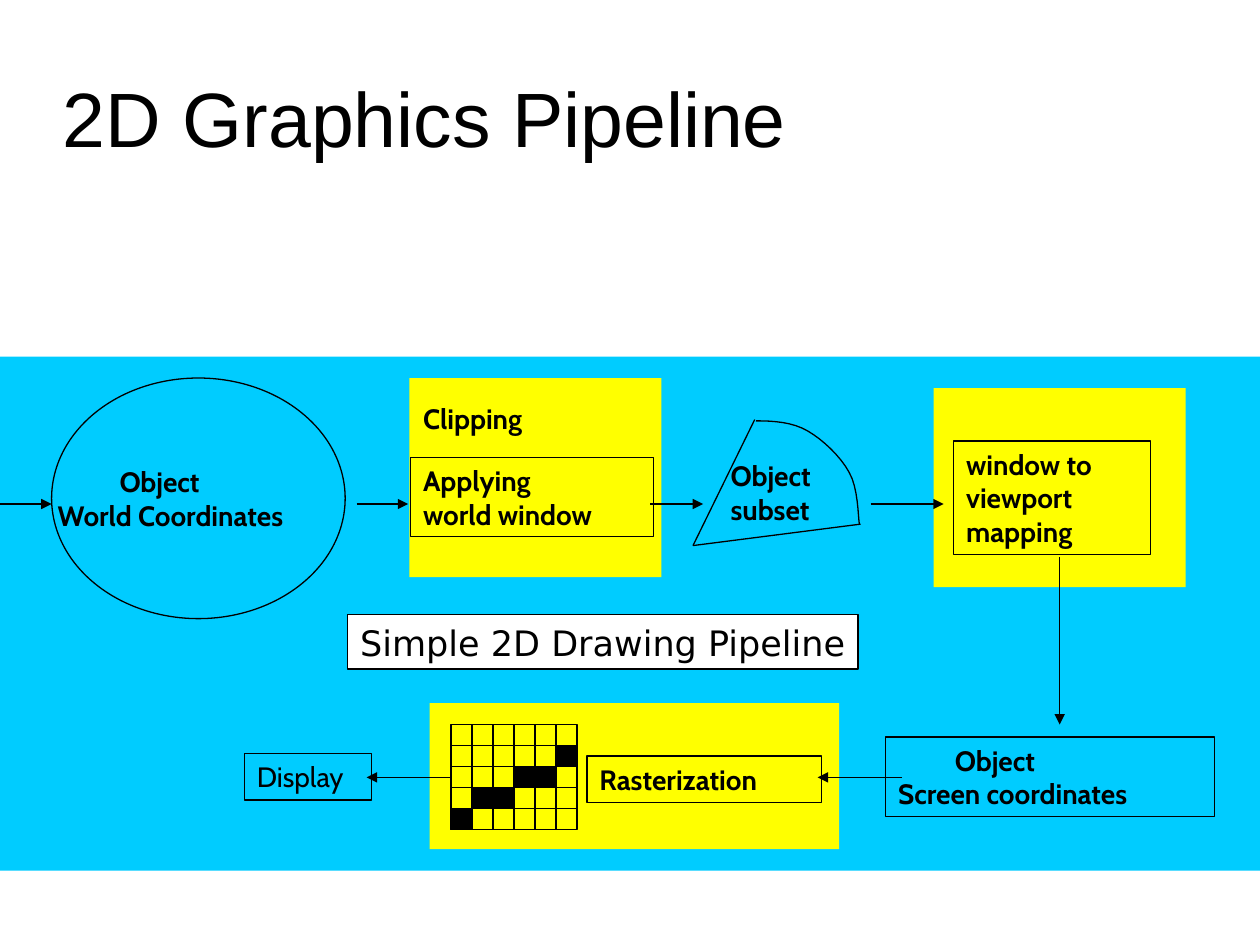
"""Build the 2D graphics pipeline slide."""
from lxml.etree import SubElement
from pptx import Presentation
from pptx.dml.color import RGBColor
from pptx.enum.shapes import MSO_CONNECTOR as Conn, MSO_SHAPE as Kind
from pptx.enum.text import MSO_ANCHOR as Anchor, PP_ALIGN as Align
from pptx.oxml.ns import qn
from pptx.util import Inches, Pt

COLORS = {"band": "00CCFF", "stage": "FFFF00", "ink": "000000", "paper": "FFFFFF"}
TITLE = "2D Graphics Pipeline"
BAND = (0, 2.83, 10, 4.08)
STAGES = [(7.41, 3.08, 2, 1.58), (3.41, 5.58, 3.25, 1.16), (3.25, 3, 2, 1.58)]
WORLD = (0.41, 3, 2.33, 1.91)
LABELS = [
    (["Object", "World Coordinates"], (0.36, 3.64, 2.58, 0.63), {"indent": 0.49}),
    (["Object", "subset"], (5.7, 3.59, 1.08, 0.63), {}),
    (["window to", "viewport", "mapping"], (7.57, 3.5, 1.56, 0.9), {"line": "ink"}),
    (["Object", "Screen coordinates"], (7.03, 5.85, 2.61, 0.63),
     {"line": "ink", "indent": 0.45}),
    (["Rasterization"], (4.66, 6, 1.86, 0.37), {"line": "ink"}),
    (["Display"], (1.94, 5.98, 1.01, 0.37), {"line": "ink", "bold": False}),
    (["Applying", "world window"], (3.26, 3.63, 1.93, 0.63), {"line": "ink"}),
    (["Clipping"], (3.26, 3.14, 1.22, 0.37), {}),
    (["Simple 2D Drawing Pipeline"], (2.76, 4.88, 4.05, 0.43),
     {"line": "ink", "fill": "paper", "bold": False, "size": 20, "font": "DejaVu Sans"}),
]
ROW, BACK = 4, 6.17
ARROWS = [
    (0, ROW, 0.41, ROW), (2.83, ROW, 3.24, ROW), (5.16, ROW, 5.58, ROW),
    (6.91, ROW, 7.49, ROW), (8.41, 4.42, 8.41, 5.75),
    (7.16, BACK, 6.49, BACK), (3.57, BACK, 2.91, BACK),
]
EDGES = [(5.5, 4.33, 5.99, 3.33), (5.5, 4.33, 6.83, 4.16)]
CURVES = [
    ((6, 3.34), (6.14, 3.34), (6.29, 3.35), (6.41, 3.42)),
    ((6.41, 3.42), (6.53, 3.49), (6.67, 3.62), (6.74, 3.75)),
    ((6.74, 3.75), (6.81, 3.87), (6.81, 4.09), (6.82, 4.16)),
]
GRID = (3.58, 5.75)
COLS, ROWS, CELL = 6, 5, 1 / 6
PIXELS = [(0, 4), (1, 3), (2, 3), (3, 2), (4, 2), (5, 1)]

deck = Presentation()
deck.slide_width, deck.slide_height = Inches(10), Inches(7.5)
slide = deck.slides.add_slide(deck.slide_layouts[6])
shapes = slide.shapes


def tint(name):
    return RGBColor.from_string(COLORS[name])


def paint(shape, fill=None, line=None):
    if fill:
        shape.fill.solid()
        shape.fill.fore_color.rgb = tint(fill)
    else:
        shape.fill.background()
    if line:
        shape.line.color.rgb = tint(line)
        shape.line.width = Pt(0.75)
    else:
        shape.line.fill.background()


def block(box, fill=None, line=None, kind=Kind.RECTANGLE):
    shape = shapes.add_shape(kind, *map(Inches, box))
    shape.shadow.inherit = False
    paint(shape, fill, line)


def write(lines, box, fill=None, line=None, indent=0, bold=True, size=16,
          font="Cabin", anchor=Anchor.TOP, inset=(0.1, 0.05)):
    area = shapes.add_textbox(*map(Inches, box))
    paint(area, fill, line)
    frame = area.text_frame
    frame.text = "\n".join(lines)
    frame.word_wrap, frame.vertical_anchor = True, anchor
    frame.margin_left, frame.margin_right = Inches(inset[0]), 0
    frame.margin_top = frame.margin_bottom = Inches(inset[1])
    for para in frame.paragraphs:
        para.alignment = Align.LEFT
        style = para.runs[0].font
        style.name, style.size, style.bold = font, Pt(size), bold
        style.color.rgb = tint("ink")
    if indent:
        frame.paragraphs[0]._p.get_or_add_pPr().set("marL", str(Inches(indent)))


def rule(ends, head=False):
    wire = shapes.add_connector(Conn.STRAIGHT, *map(Inches, ends))
    wire.line.color.rgb = tint("ink")
    wire.line.width = Pt(0.75)
    props = wire._element.spPr
    if head:
        SubElement(props.find(qn("a:ln")), qn("a:tailEnd"), type="triangle")
    SubElement(props, qn("a:effectLst"))


def bend(curve, t):
    weights = ((1 - t) ** 3, 3 * t * (1 - t) ** 2, 3 * t * t * (1 - t), t ** 3)
    return tuple(Inches(sum(w * p[i] for w, p in zip(weights, curve))) for i in (0, 1))


def draw_arc(steps=8):
    dots = [bend(c, n / steps) for c in CURVES for n in range(1, steps + 1)]
    pen = shapes.build_freeform(*bend(CURVES[0], 0))
    pen.add_line_segments(dots, close=False)
    arc = pen.convert_to_shape()
    arc.shadow.inherit = False
    paint(arc, line="ink")


def draw_grid():
    left, top = GRID
    wide, high = COLS * CELL, ROWS * CELL
    block((left, top, wide, high), line="ink")
    for n in range(1, ROWS):
        rule((left, top + n * CELL, left + wide, top + n * CELL))
    for n in range(1, COLS):
        rule((left + n * CELL, top, left + n * CELL, top + high))
    for col, row in PIXELS:
        block((left + col * CELL, top + row * CELL, CELL, CELL), "ink", "ink")


write([TITLE], (0.5, 0.3, 9, 1.25), bold=False, size=44, font="Arial",
      anchor=Anchor.MIDDLE, inset=(0, 0))
block(BAND, "band")
for stage in STAGES:
    block(stage, "stage")
block(WORLD, line="ink", kind=Kind.OVAL)
for edge in EDGES:
    rule(edge)
draw_arc()
draw_grid()
for lines, box, look in LABELS:
    write(lines, box, **look)
for arrow in ARROWS:
    rule(arrow, head=True)
deck.save("out.pptx")
